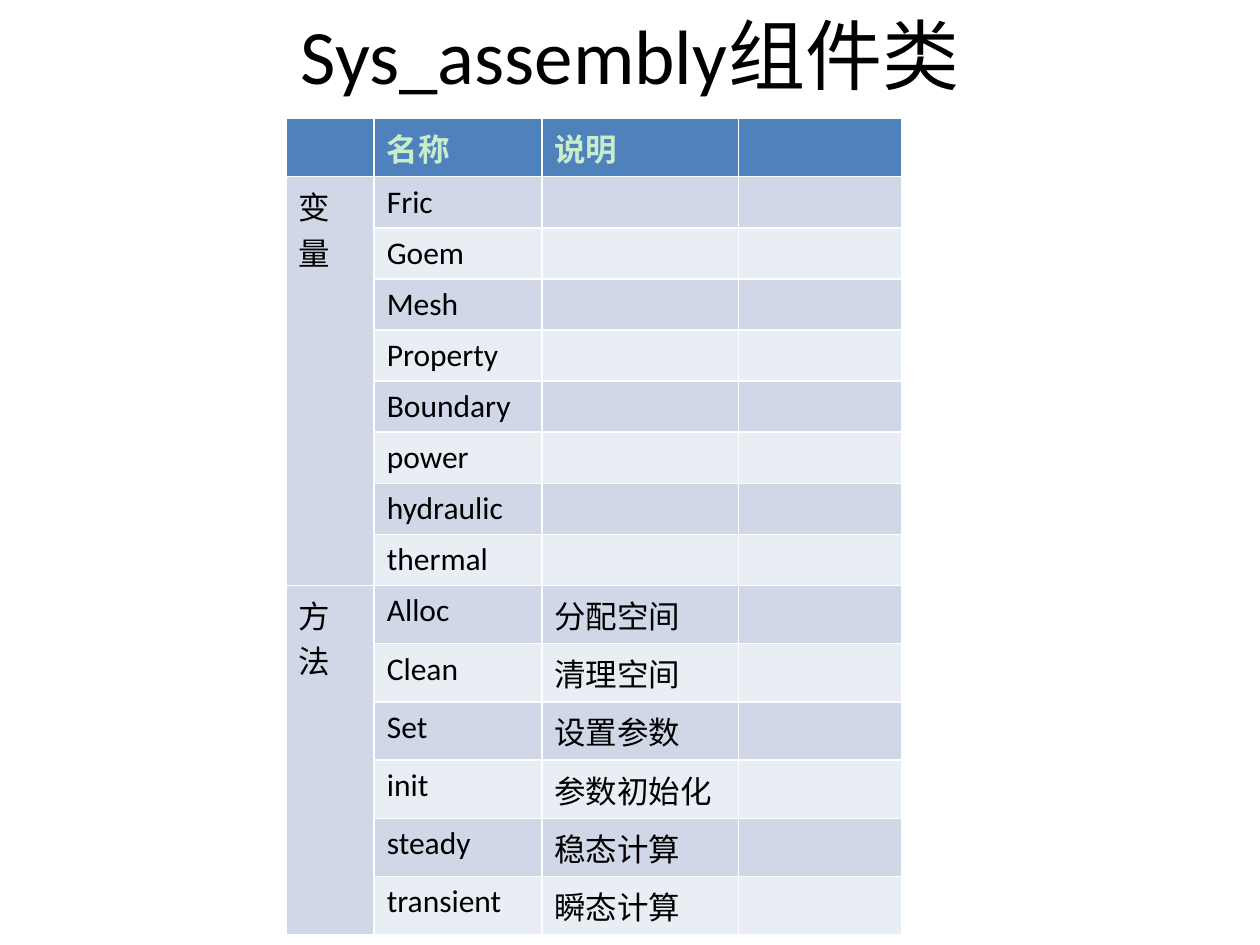
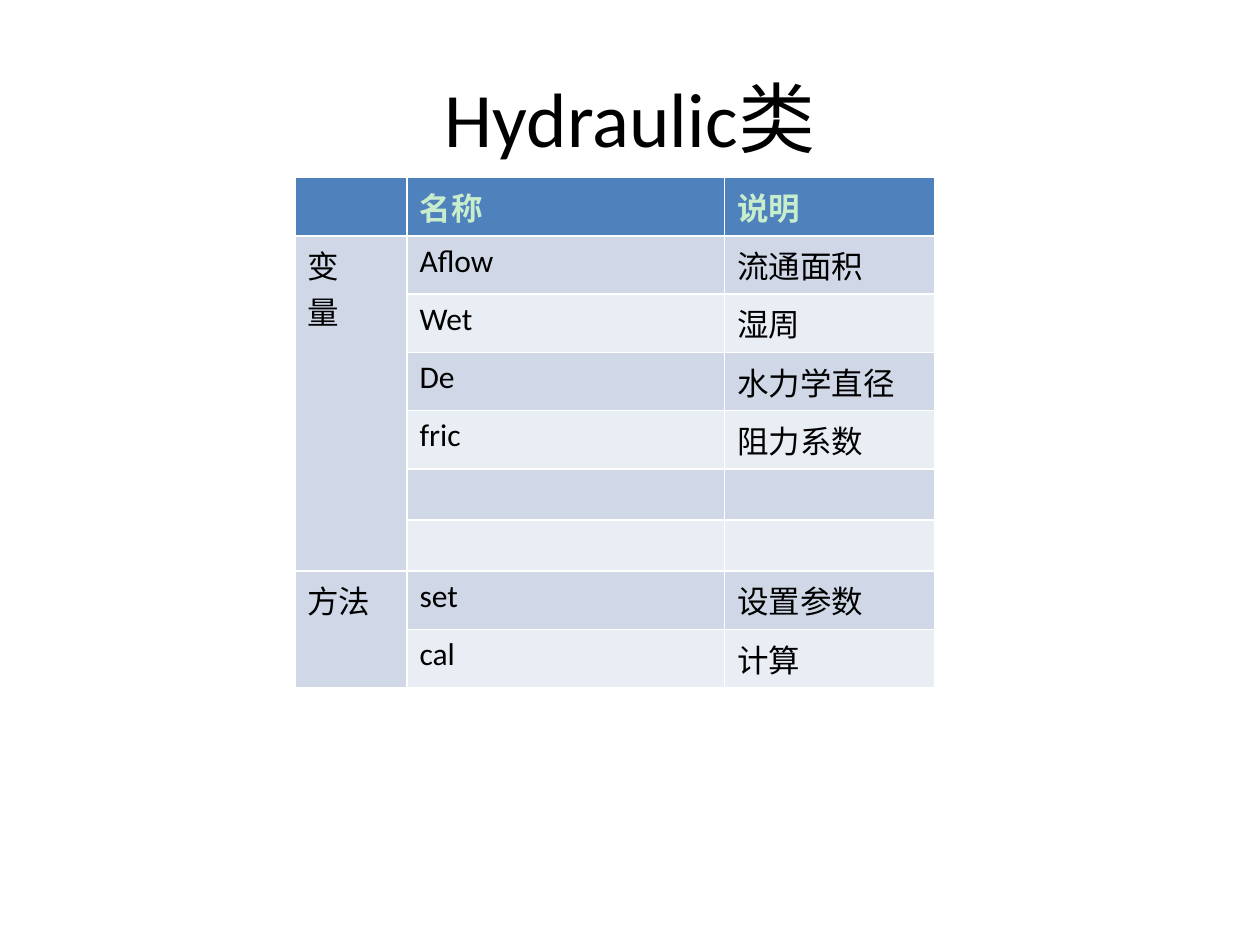
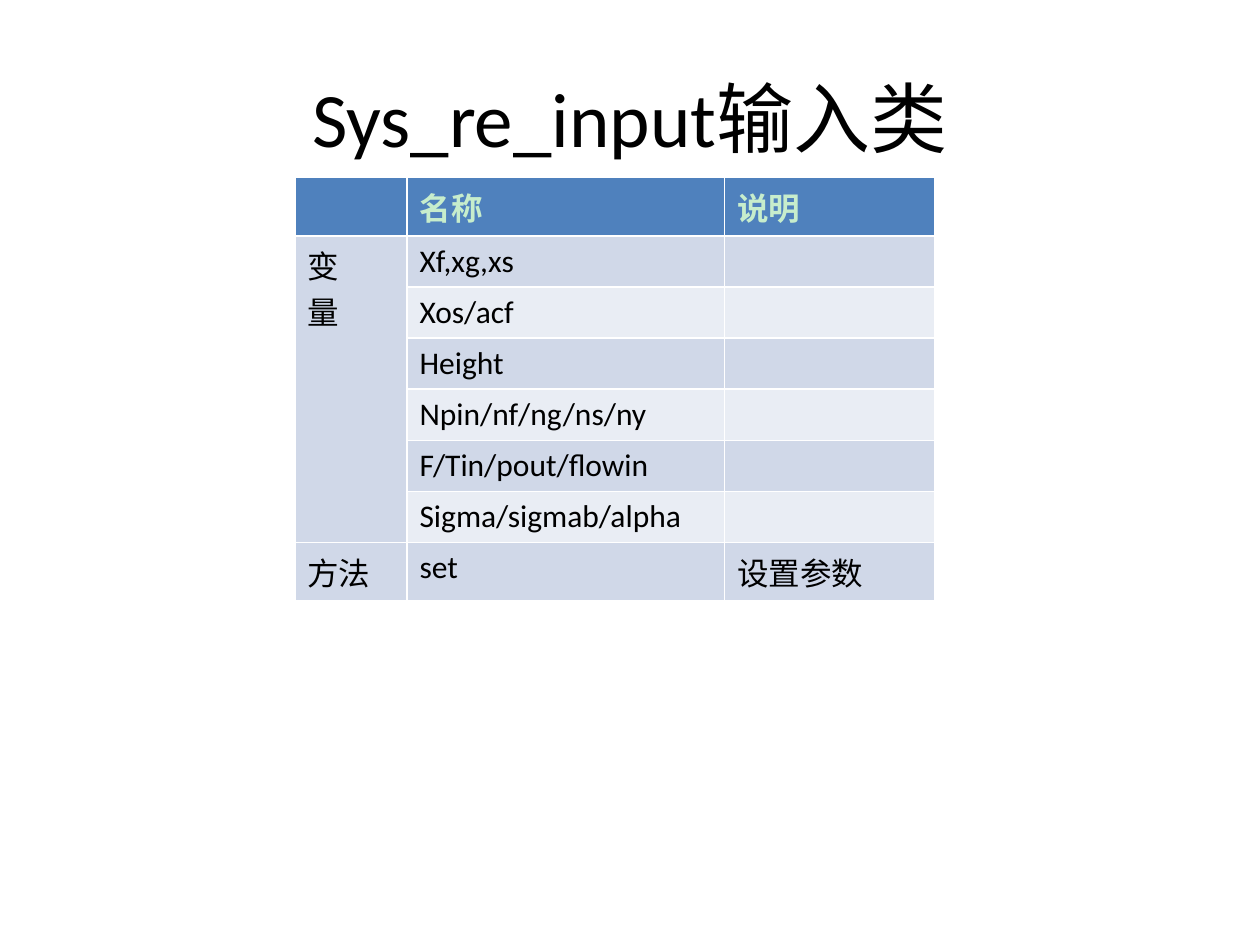
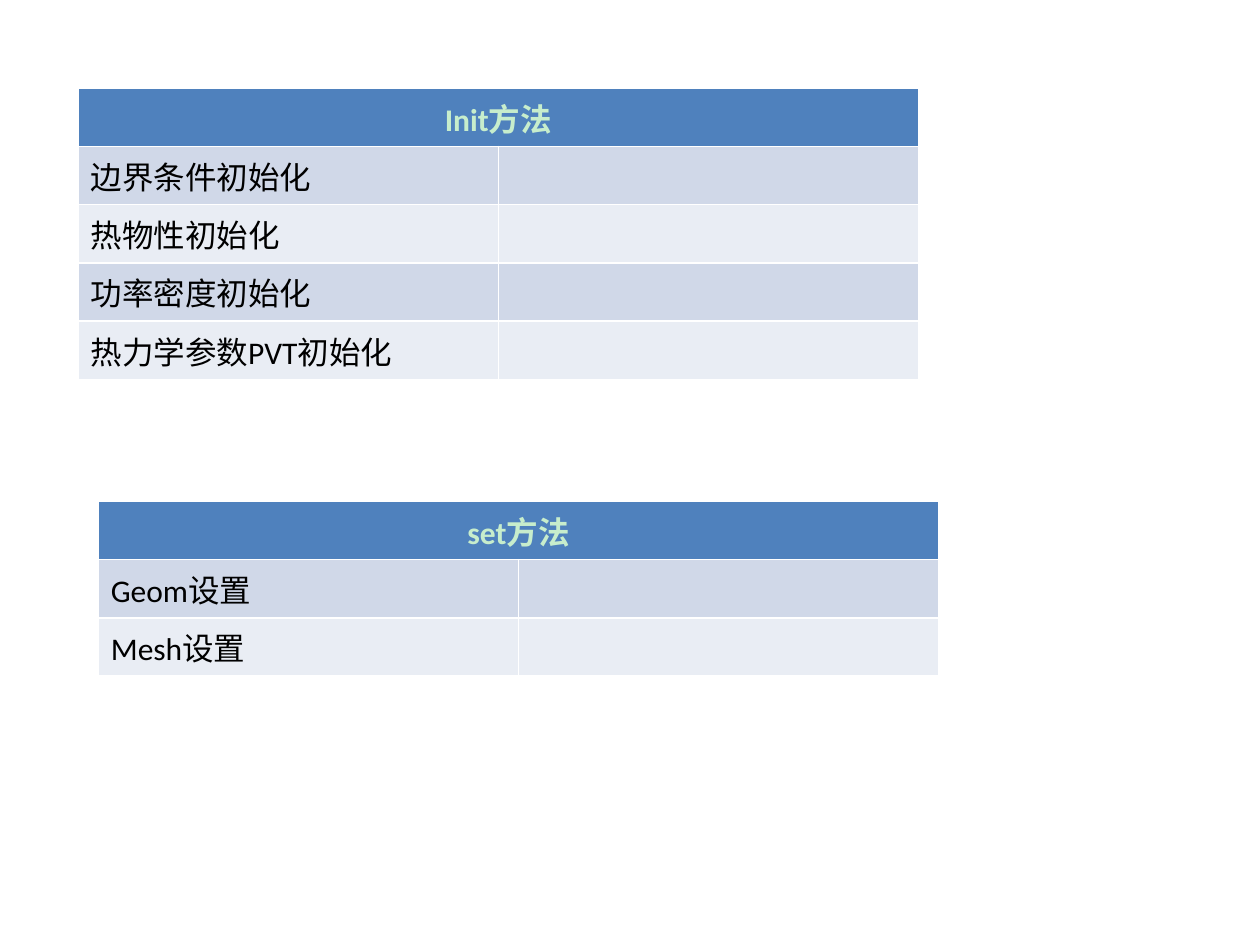
from pptx import Presentation
from pptx.dml.color import RGBColor
from pptx.enum import text
from pptx.util import Inches, Pt

FONT = "Calibri"
WHITE, BLACK, PALE_GREEN = "FFFFFF", "000000", "C7EDCC"
HEADER, BANDS = "4F81BD", ("E9EDF4", "D0D8E8")
TITLE_ONLY, BLANK = 5, 6
CENTER = text.PP_ALIGN.CENTER

CLASS_BOX = (2.34, 1.41, 5.08, 3.65)
CLASS_COLS = (0.89, 2.52, 1.67)
TITLE_BOX = (0.5, 0.3, 9, 1.25)

ASSEMBLY = [
    ("变\n量", [("Fric",), ("Goem",), ("Mesh",), ("Property",), ("Boundary",),
              ("power",), ("hydraulic",), ("thermal",)]),
    ("方\n法", [("Alloc", "分配空间"), ("Clean", "清理空间"), ("Set", "设置参数"),
              ("init", "参数初始化"), ("steady", "稳态计算"), ("transient", "瞬态计算")]),
]
HYDRAULIC = [
    ("变\n量", [("Aflow", "流通面积"), ("Wet", "湿周"), ("De", "水力学直径"),
              ("fric", "阻力系数"), (), ()]),
    ("方法", [("set", "设置参数"), ("cal", "计算")]),
]
INPUT = [
    ("变\n量", [("Xf,xg,xs",), ("Xos/acf",), ("Height",), ("Npin/nf/ng/ns/ny",),
              ("F/Tin/pout/flowin",), ("Sigma/sigmab/alpha",)]),
    ("方法", [("set", "设置参数")]),
]


def rgb(color):
    return RGBColor.from_string(color)


def style_runs(tf, size, color, bold=False, align=None):
    for p in tf.paragraphs:
        p.alignment = align
        for r in p.runs:
            r.font.name, r.font.size, r.font.bold = FONT, Pt(size), bold
            r.font.color.rgb = rgb(color)


def add_slide(prs, layout):
    s = prs.slides.add_slide(prs.slide_layouts[layout])
    s.background.fill.solid()
    s.background.fill.fore_color.rgb = rgb(WHITE)
    return s


def add_title(s, title, box):
    sp = s.shapes.title
    sp.left, sp.top, sp.width, sp.height = map(Inches, box)
    tf = sp.text_frame
    tf.text = title
    tf.vertical_anchor = text.MSO_ANCHOR.MIDDLE
    style_runs(tf, 44, BLACK, align=CENTER)


def add_banded_table(s, box, cols, rows, header_align=None):
    """Fill a table with rows of text; the first row is the header and short rows leave cells empty."""
    table = s.shapes.add_table(len(rows), len(cols), *map(Inches, box)).table
    for column, width in zip(table.columns, cols):
        column.width = Inches(width)
    for i, row in enumerate(rows):
        for j in range(len(cols)):
            cell = table.cell(i, j)
            cell.fill.solid()
            cell.fill.fore_color.rgb = rgb(BANDS[i % 2] if i else HEADER)
            if j < len(row) and row[j]:
                cell.text = row[j]
                if i:
                    style_runs(cell.text_frame, 18, BLACK)
                else:
                    style_runs(cell.text_frame, 18, PALE_GREEN, True, header_align)
    return table


def class_slide(prs, title, groups, box=CLASS_BOX, cols=CLASS_COLS, title_box=TITLE_BOX):
    """Describe one class: its variables and methods, each group under a merged first cell."""
    s = add_slide(prs, TITLE_ONLY)
    add_title(s, title, title_box)
    rows = [("", "名称", "说明")]
    spans = []
    for label, members in groups:
        spans.append((len(rows), len(rows) + len(members) - 1))
        rows += [(label if k == 0 else "", *member) for k, member in enumerate(members)]
    table = add_banded_table(s, box, cols, rows)
    for first, last in spans:
        if last > first:
            table.cell(first, 0).merge(table.cell(last, 0))


def add_method_table(s, box, method, steps):
    rows = [(method,)] + [(step,) for step in steps]
    table = add_banded_table(s, box, (box[2] / 2,) * 2, rows, CENTER)
    table.cell(0, 0).merge(table.cell(0, 1))


def methods_slide(prs):
    s = add_slide(prs, BLANK)
    add_method_table(s, (0.62, 0.7, 6.67, 2.03), "Init方法",
                     ["边界条件初始化", "热物性初始化", "功率密度初始化", "热力学参数PVT初始化"])
    add_method_table(s, (0.78, 3.98, 6.67, 1.22), "set方法", ["Geom设置", "Mesh设置"])


def main():
    prs = Presentation()
    prs.slide_width, prs.slide_height = Inches(10), Inches(7.5)
    class_slide(prs, "Sys_assembly组件类", ASSEMBLY, (2.27, 0.94, 4.9, 6.08),
                (0.7, 1.33, 1.56, 1.3), (0.5, -0.07, 9, 1))
    class_slide(prs, "Hydraulic类", HYDRAULIC)
    class_slide(prs, "Sys_re_input输入类", INPUT, (2.34, 1.41, 5.08, 3.24))
    methods_slide(prs)
    prs.save("out.pptx")


if __name__ == "__main__":
    main()
